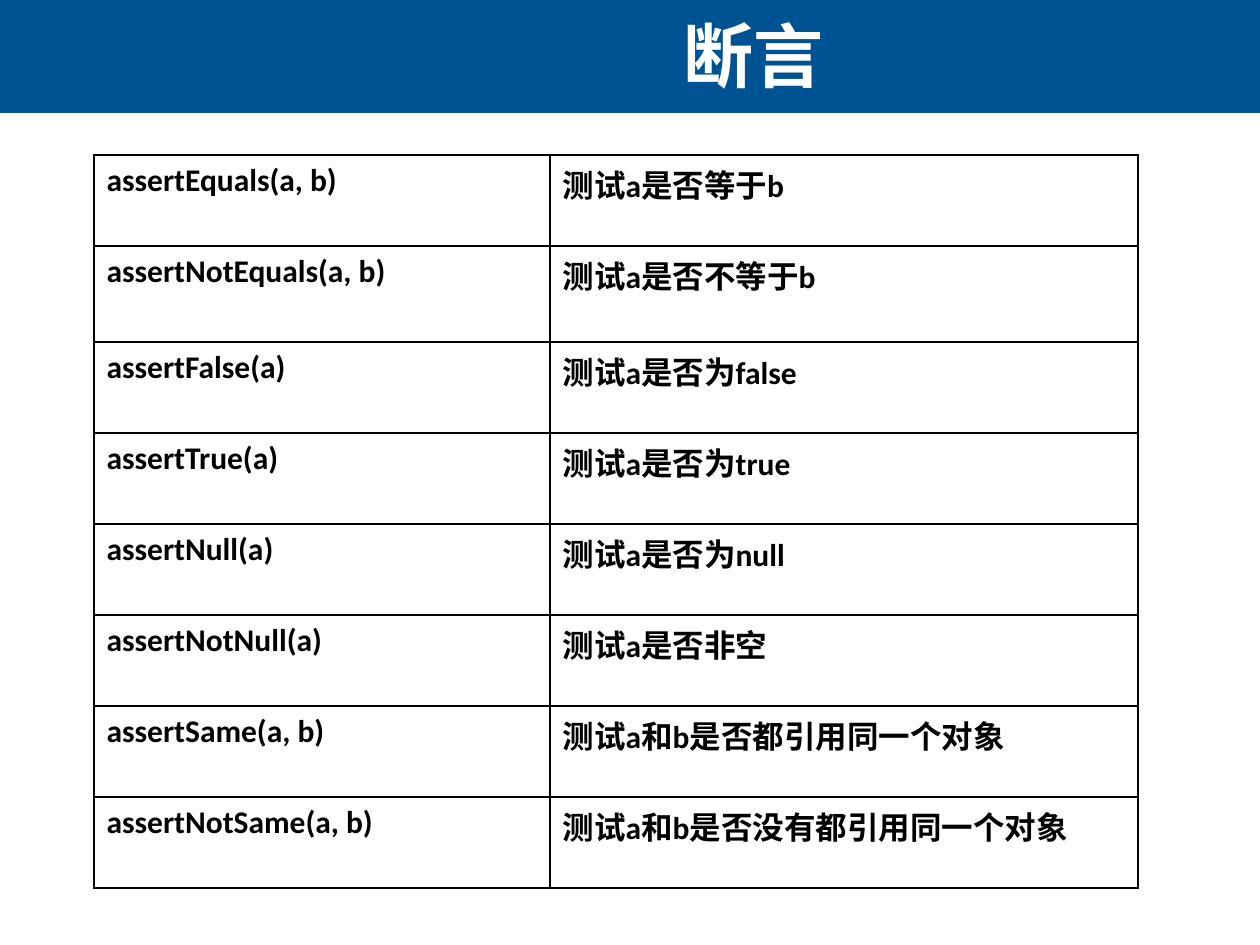
from lxml import etree
from pptx import Presentation
from pptx.dml.color import RGBColor
from pptx.enum.shapes import MSO_SHAPE
from pptx.enum.text import MSO_ANCHOR, PP_ALIGN
from pptx.oxml.ns import qn
from pptx.util import Pt

RECTANGLE = MSO_SHAPE.RECTANGLE
MIDDLE, TOP = MSO_ANCHOR.MIDDLE, MSO_ANCHOR.TOP
CENTER, LEFT = PP_ALIGN.CENTER, PP_ALIGN.LEFT

TITLE = "断言"
ASSERTIONS = [
    ("assertEquals(a, b)", "测试a是否等于b"),
    ("assertNotEquals(a, b)", "测试a是否不等于b"),
    ("assertFalse(a)", "测试a是否为false"),
    ("assertTrue(a)", "测试a是否为true"),
    ("assertNull(a)", "测试a是否为null"),
    ("assertNotNull(a)", "测试a是否非空"),
    ("assertSame(a, b)\u00a0", "测试a和b是否都引用同一个对象"),
    ("assertNotSame(a, b)", "测试a和b是否没有都引用同一个对象"),
]

BLUE, WHITE, BLACK = "005392", "FFFFFF", "000000"
SLIDE_SIZE = (1260, 945)
BANNER_HEIGHT = 113
TITLE_BOX = (54, -24, 1399, 158)
TABLE_ORIGIN = (94, 155)
COLUMN_WIDTHS = (456, 588)
ROW_HEIGHTS = [91, 96] + [91] * 6
EMU_PER_PX = 914400 / 126


def px(length):
    return round(length * EMU_PER_PX)


def color(hex_code):
    return RGBColor.from_string(hex_code)


def write(frame, text, font="Calibri", size=18, fill=BLACK, align=LEFT):
    paragraph = frame.paragraphs[0]
    paragraph.alignment = align
    run = paragraph.add_run()
    run.text = text
    run.font.name = font
    run.font.size = Pt(size)
    run.font.bold = True
    run.font.color.rgb = color(fill)


def add_borders(cell, width=1):
    """Draw all four edges; they must precede the fill in the cell properties."""
    properties = cell._tc.get_or_add_tcPr()
    for index, edge in enumerate(("a:lnL", "a:lnR", "a:lnT", "a:lnB")):
        line = etree.Element(qn(edge), w=str(Pt(width)))
        solid = etree.SubElement(line, qn("a:solidFill"))
        etree.SubElement(solid, qn("a:srgbClr"), val=BLACK)
        properties.insert(index, line)


def add_title(slide):
    banner = slide.shapes.add_shape(RECTANGLE, 0, 0, px(SLIDE_SIZE[0]), px(BANNER_HEIGHT))
    banner.shadow.inherit = False
    banner.fill.solid()
    banner.fill.fore_color.rgb = color(BLUE)
    banner.line.fill.background()

    frame = slide.shapes.add_textbox(*map(px, TITLE_BOX)).text_frame
    frame.word_wrap = True
    frame.vertical_anchor = MIDDLE
    write(frame, TITLE, font="Arial", size=40, fill=WHITE, align=CENTER)


def add_assertions(slide):
    extent = (sum(COLUMN_WIDTHS), sum(ROW_HEIGHTS))
    table = slide.shapes.add_table(
        len(ASSERTIONS), len(COLUMN_WIDTHS), *map(px, TABLE_ORIGIN + extent)
    ).table
    table.first_row = False
    table.horz_banding = False
    for column, width in zip(table.columns, COLUMN_WIDTHS):
        column.width = px(width)
    for row, height, texts in zip(table.rows, ROW_HEIGHTS, ASSERTIONS):
        row.height = px(height)
        for cell, text in zip(row.cells, texts):
            cell.fill.background()
            cell.vertical_anchor = TOP
            add_borders(cell)
            write(cell.text_frame, text)


def main():
    presentation = Presentation()
    presentation.slide_width, presentation.slide_height = map(px, SLIDE_SIZE)
    slide = presentation.slides.add_slide(presentation.slide_layouts[6])
    add_title(slide)
    add_assertions(slide)
    presentation.save("out.pptx")


if __name__ == "__main__":
    main()
